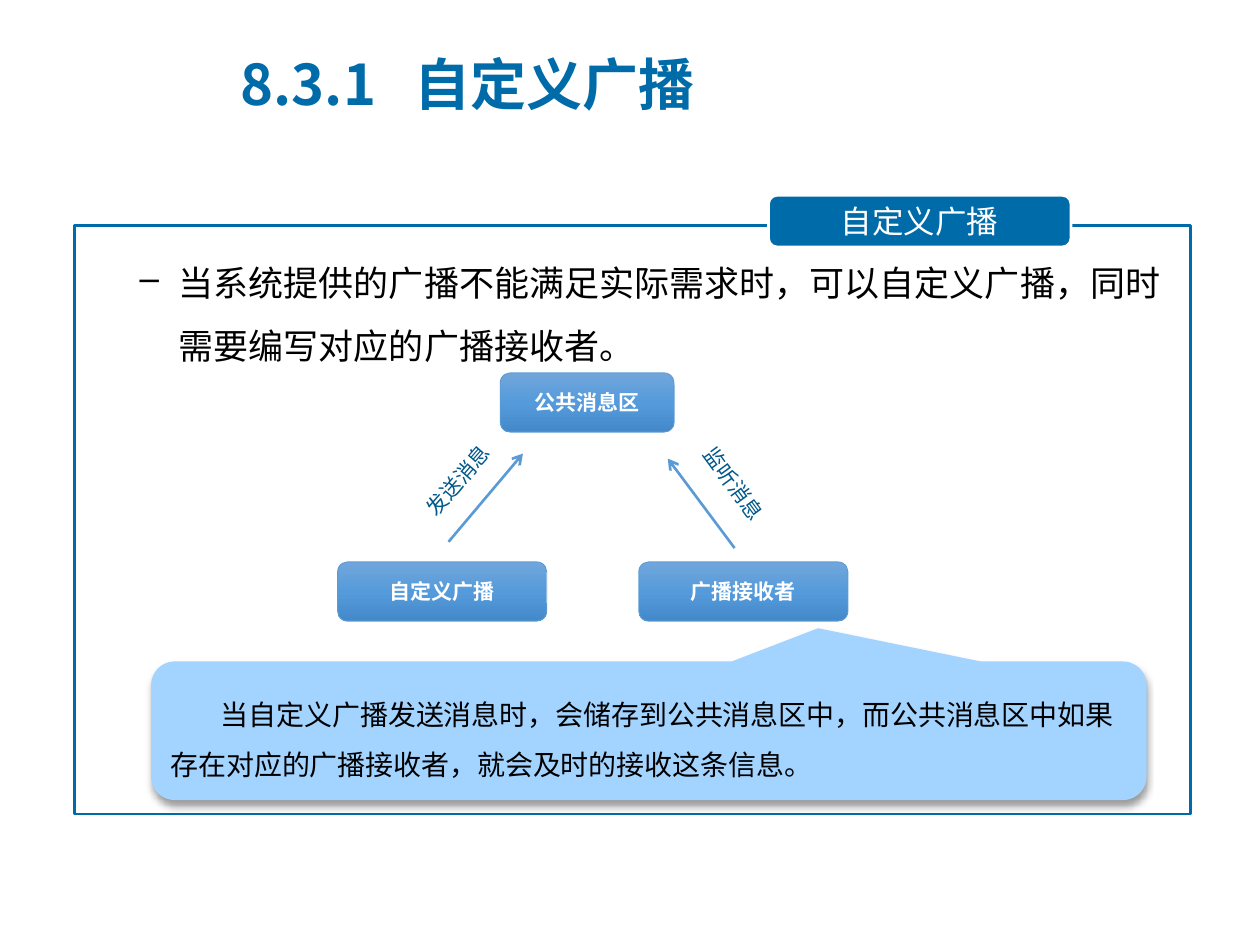
from copy import deepcopy
from dataclasses import dataclass

from lxml.etree import SubElement
from pptx import Presentation
from pptx.dml.color import RGBColor
from pptx.enum.shapes import MSO_CONNECTOR, MSO_SHAPE
from pptx.enum.text import MSO_ANCHOR, MSO_AUTO_SIZE, PP_ALIGN
from pptx.oxml.ns import qn
from pptx.util import Inches, Pt


@dataclass(frozen=True)
class Theme:
    """Colours, fonts and type sizes of the slide."""
    brand: str = "006BA9"
    white: str = "FFFFFF"
    ink: str = "000000"
    label: str = "01598B"
    accent: str = "5B9BD5"
    callout: str = "A3D3FF"
    node_stops: tuple = ((0, "71A6DB"), (0.5, "559BDB"), (1, "448ACA"))
    heading_font: str = "Noto Sans CJK SC"
    body_font: str = "Calibri"
    title_size: int = 32
    point_size: int = 20
    tag_size: int = 18
    callout_size: int = 16
    node_size: int = 12


@dataclass(frozen=True)
class Box:
    """An area measured on a slide grid of 100 columns by 75 rows."""
    col: float
    row: float
    cols: float
    rows: float

    def area(self, col, row, cols, rows):
        """Return a box placed relative to this one."""
        return Box(self.col + col, self.row + row, cols, rows)

    def point(self, col, row):
        """Return slide lengths of a point relative to this box."""
        return Inches((self.col + col) / 10), Inches((self.row + row) / 10)

    def lengths(self):
        """Return left, top, width and height as slide lengths."""
        return *self.point(0, 0), Inches(self.cols / 10), Inches(self.rows / 10)


THEME = Theme()


def rgb(value):
    """Return a colour from its hex value."""
    return RGBColor.from_string(value)


def assign(target, values):
    """Set every attribute named in a dict."""
    for key, value in values.items():
        setattr(target, key, value)


def write(shape, text, size, color, font=THEME.body_font, bold=False,
          frame=None, **paragraph_format):
    """Fill a shape with one formatted paragraph and return it."""
    assign(shape.text_frame, {"word_wrap": True, "auto_size": MSO_AUTO_SIZE.NONE,
                              "vertical_anchor": MSO_ANCHOR.MIDDLE} | (frame or {}))
    paragraph = shape.text_frame.paragraphs[0]
    assign(paragraph, {"alignment": PP_ALIGN.LEFT} | paragraph_format)
    run = paragraph.add_run()
    run.text = text
    assign(run.font, {"size": Pt(size), "name": font, "bold": bold})
    run.font.color.rgb = rgb(color)
    SubElement(run.font._element, qn("a:ea"), typeface=THEME.heading_font)
    return paragraph


def add_block(slide, kind, box, fill=None, line=None, weight=1.5):
    """Add a preset shape with a flat fill and line."""
    block = slide.shapes.add_shape(kind, *box.lengths())
    block.shadow.inherit = False
    if fill:
        block.fill.solid()
        block.fill.fore_color.rgb = rgb(fill)
    else:
        block.fill.background()
    if line:
        block.line.color.rgb = rgb(line)
        block.line.width = Pt(weight)
    else:
        block.line.fill.background()
    return block


def add_heading(slide, box):
    """Place the section title, with a tab stop after its number."""
    title = slide.shapes.title
    assign(title, dict(zip(("left", "top", "width", "height"), box.lengths())))
    paragraph = write(title, "8.3.1\t自定义广播", THEME.title_size, THEME.brand,
                      THEME.heading_font, True)
    stops = SubElement(paragraph._p.get_or_add_pPr(), qn("a:tabLst"))
    SubElement(stops, qn("a:tab"), pos=str(Inches(1.38)), algn="l")


def add_panel(slide, box):
    """Draw the outlined panel with its tag and leading point."""
    add_block(slide, MSO_SHAPE.RECTANGLE, box, line=THEME.brand)
    tag = add_block(slide, MSO_SHAPE.ROUNDED_RECTANGLE, box.area(55.1, -2.4, 24, 4.1),
                    THEME.brand, THEME.white)
    write(tag, "自定义广播", THEME.tag_size, THEME.white, THEME.heading_font,
          alignment=PP_ALIGN.CENTER)
    point = slide.shapes.add_textbox(*box.area(-0.8, 0.7, 88.1, 10.2).lengths())
    paragraph = write(point, "当系统提供的广播不能满足实际需求时，可以自定义广播，同时需要编写对应的广播接收者。",
                      THEME.point_size, THEME.ink, frame={"vertical_anchor": MSO_ANCHOR.TOP},
                      line_spacing=1.5, space_before=Pt(4))
    props = paragraph._p.get_or_add_pPr()
    props.set("marL", str(Inches(0.81)))
    props.set("indent", str(Inches(-0.31)))
    SubElement(props, qn("a:buChar"), char="–")


def add_node(slide, box, text):
    """Add a gradient node of the message flow."""
    node = add_block(slide, MSO_SHAPE.ROUNDED_RECTANGLE, box, line=THEME.accent, weight=0.5)
    node.fill.gradient()
    node.fill.gradient_angle = 270
    stop_list = node._element.spPr.find(".//" + qn("a:gsLst"))
    stop_list.insert(1, deepcopy(stop_list[0]))
    for stop, (position, color) in zip(node.fill.gradient_stops, THEME.node_stops):
        stop.position = position
        stop.color.rgb = rgb(color)
    write(node, text, THEME.node_size, THEME.white, bold=True, alignment=PP_ALIGN.CENTER)


def add_arrow(slide, start, end):
    """Add an arrow between two points."""
    arrow = slide.shapes.add_connector(MSO_CONNECTOR.STRAIGHT, *start, *end)
    arrow.line.color.rgb = rgb(THEME.accent)
    arrow.line.width = Pt(1.5)
    props = arrow._element.spPr
    SubElement(props.find(qn("a:ln")), qn("a:tailEnd"), type="arrow")
    SubElement(props, qn("a:effectLst"))


def add_flow(slide, box):
    """Draw sender and receiver meeting at the public message area."""
    for text, col, row, cols in (("公共消息区", 12.9, 0, 13.8),
                                 ("自定义广播", 0, 15, 16.6),
                                 ("广播接收者", 23.9, 15, 16.6)):
        add_node(slide, box.area(col, row, cols, 4.7), text)
    for text, start, end, corner, turn in (
            ("发送消息", (8.8, 13.4), (14.7, 6.4), (3.4, 7), 310.9),
            ("监听消息", (31.5, 13.9), (26.2, 6.8), (25.3, 7.3), 53.7)):
        add_arrow(slide, box.point(*start), box.point(*end))
        label = slide.shapes.add_textbox(*box.area(*corner, 12.3, 3).lengths())
        label.rotation = turn
        write(label, text, THEME.node_size, THEME.label, alignment=PP_ALIGN.CENTER,
              frame={"vertical_anchor": MSO_ANCHOR.TOP})


def add_callout(slide, box):
    """Add the shadowed callout that explains the flow."""
    callout = add_block(slide, MSO_SHAPE.ROUNDED_RECTANGULAR_CALLOUT, box, THEME.callout)
    for index, value in enumerate((0.17, -0.74, 0.17)):
        callout.adjustments[index] = value
    effects = callout._element.spPr.find(qn("a:effectLst"))
    shadow = SubElement(effects, qn("a:outerShdw"), blurRad=str(Pt(4)), dist=str(Pt(3)),
                        dir="5400000", algn="t", rotWithShape="0")
    color = SubElement(shadow, qn("a:srgbClr"), val=THEME.ink)
    SubElement(color, qn("a:alpha"), val="40000")
    paragraph = write(callout, "当自定义广播发送消息时，会储存到公共消息区中，而公共消息区中如果存在对应的广播接收者，就会及时的接收这条信息。",
                      THEME.callout_size, THEME.ink, line_spacing=1.5)
    paragraph._p.get_or_add_pPr().set("indent", str(Inches(0.4)))


def main():
    """Build and save the slide."""
    deck = Presentation()
    deck.slide_width, deck.slide_height = Inches(10), Inches(7.5)
    slide = deck.slides.add_slide(deck.slide_layouts[5])
    panel = Box(5.9, 17.9, 88.6, 46.7)
    add_heading(slide, Box(18.1, 2.4, 72.8, 8.4))
    add_panel(slide, panel)
    add_flow(slide, panel.area(20.9, 11.7, 40.5, 19.7))
    add_callout(slide, panel.area(6.1, 34.6, 79, 11))
    deck.save("out.pptx")


if __name__ == "__main__":
    main()
